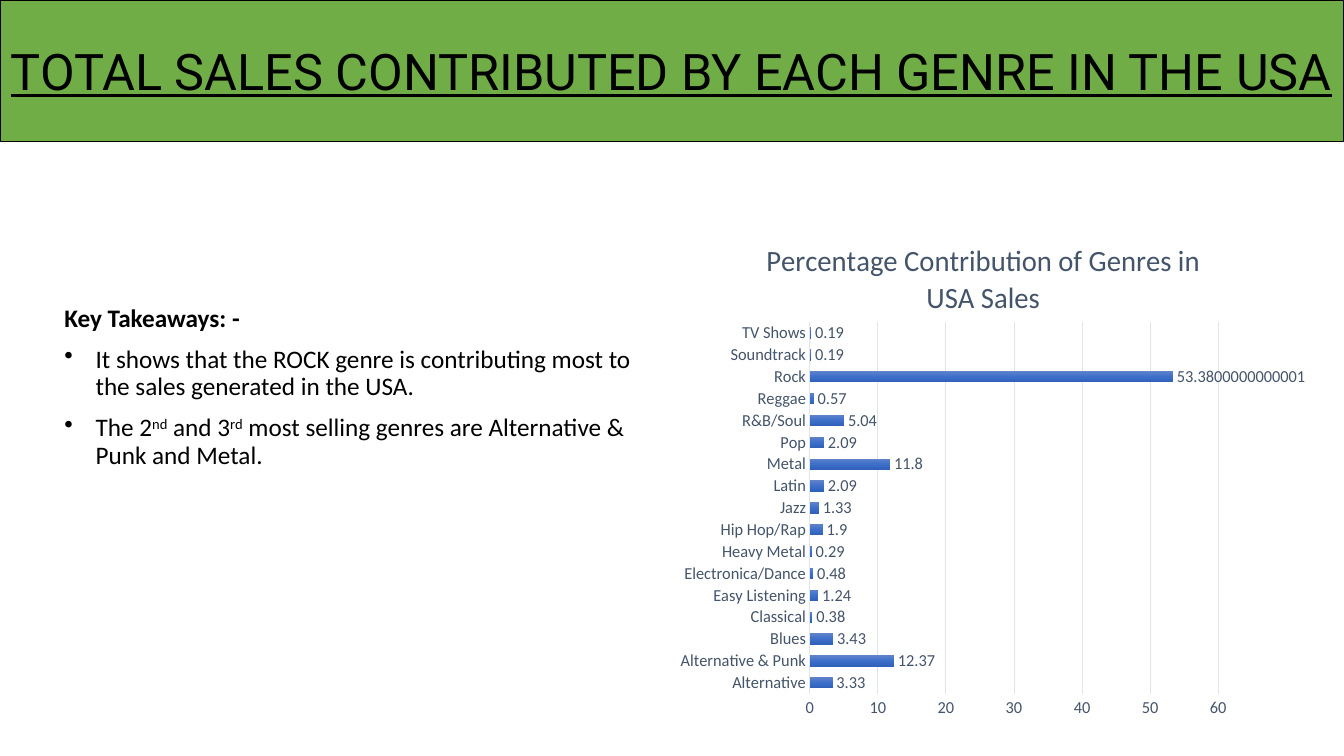
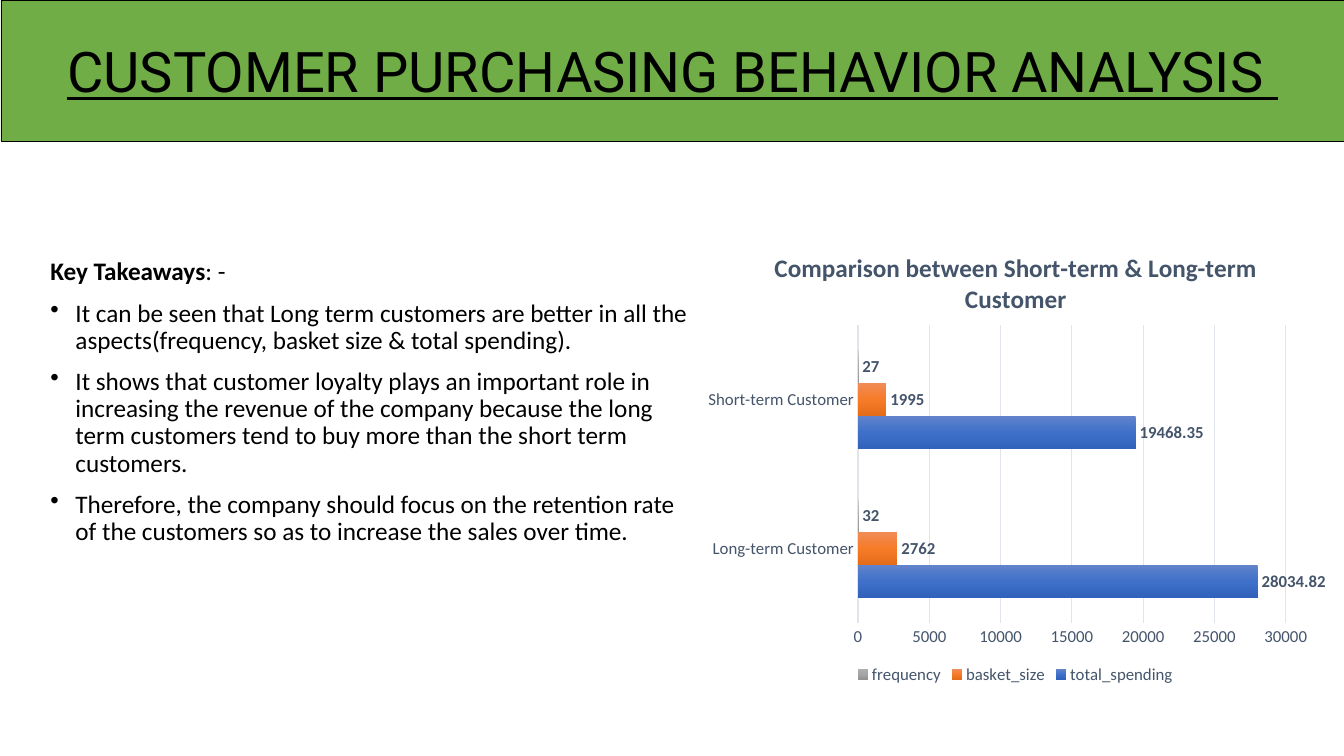
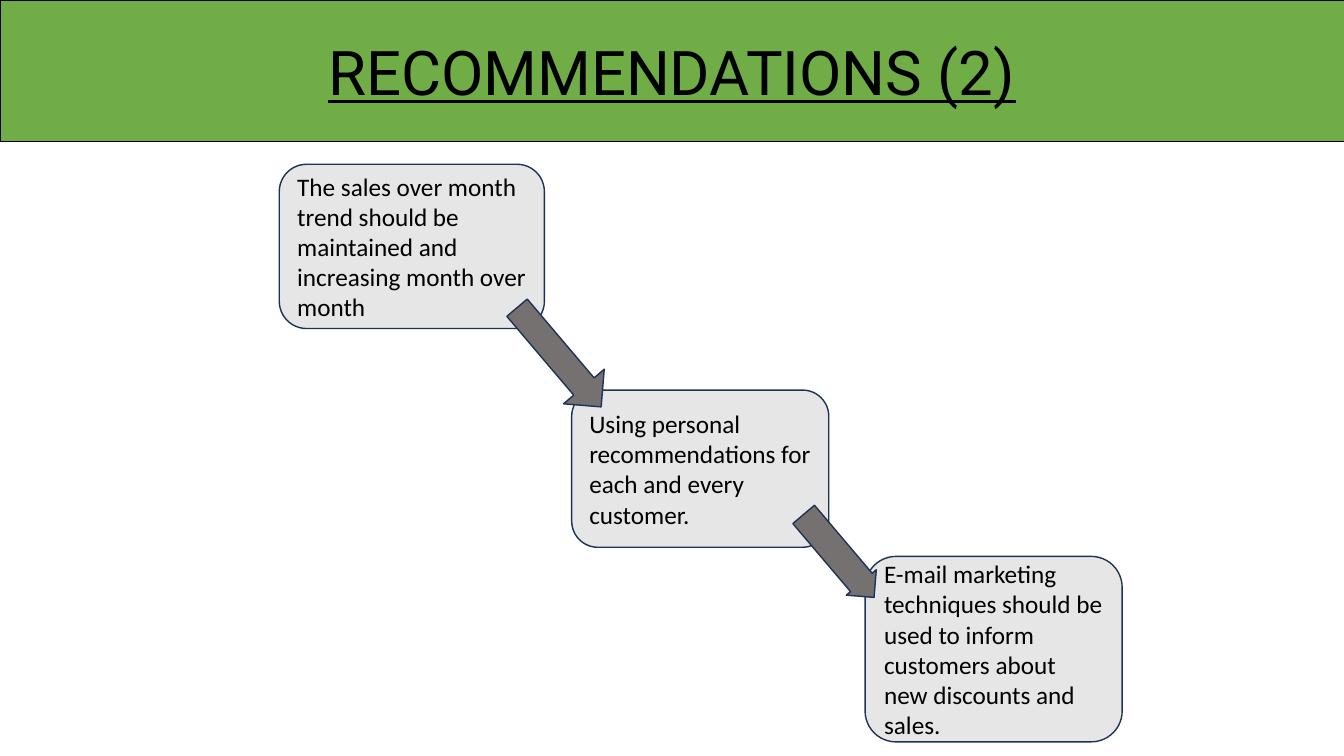
"""Build three slides on sales by genre, customer behavior and recommendations."""
import copy

import lxml.etree
import pptx
import pptx.chart.data
import pptx.dml.color
import pptx.enum.chart
import pptx.enum.shapes
import pptx.enum.text
import pptx.oxml.ns
import pptx.util

PX = 9144
WIDE, HIGH, BAND = 1333, 750, 140
BODY, HEAD = "Calibri", "Roboto"
HUES = {
    "band": "70AD47", "ink": "000000", "slate": "44546A", "grid": "E0E5EB",
    "card": "E7E6E6", "edge": "1E3256", "arrow": "767171",
}
BLUE = ("6183CB", "3E70CA", "3062BB")
ORANGE = ("F18C57", "F67B28", "E56C19")
GRAY = ("AFAFAF", "A5A5A5", "939393")
FORMS = pptx.enum.shapes.MSO_SHAPE
ALIGN = pptx.enum.text.PP_ALIGN
qn = pptx.oxml.ns.qn


def rgb(code):
    return pptx.dml.color.RGBColor.from_string(code)


class Deck:
    def __init__(self):
        self.file = pptx.Presentation()
        self.file.slide_width = WIDE * PX
        self.file.slide_height = HIGH * PX
        self.slide = None

    def page(self, title, size, left=0, width=WIDE):
        self.slide = self.file.slides.add_slide(self.file.slide_layouts[6])
        band = self.shape(FORMS.RECTANGLE, (left, 0, width, BAND), "band", "ink", 0.5)
        line = self.letter(band, title, size, HEAD, ALIGN.CENTER)
        line.font.underline = True

    def font(self, font, size, hue="ink", bold=False, name=BODY):
        font.name = name
        font.size = pptx.util.Pt(size)
        font.bold = bold
        font.color.rgb = rgb(HUES[hue])

    def shape(self, form, box, fill, edge, weight=1):
        shape = self.slide.shapes.add_shape(form, *[n * PX for n in box])
        shape.shadow.inherit = False
        shape.fill.solid()
        shape.fill.fore_color.rgb = rgb(HUES[fill])
        shape.line.color.rgb = rgb(HUES[edge])
        shape.line.width = pptx.util.Pt(weight)
        return shape

    def letter(self, shape, text, size, name=BODY, align=ALIGN.LEFT):
        frame = shape.text_frame
        frame.word_wrap = True
        frame.vertical_anchor = pptx.enum.text.MSO_ANCHOR.MIDDLE
        line = frame.paragraphs[0]
        line.text = text
        line.alignment = align
        self.font(line.font, size, name=name)
        return line

    def card(self, text, box):
        self.letter(self.shape(FORMS.ROUNDED_RECTANGLE, box, "card", "edge"), text, 18)

    def arrow(self, box, shaft=0.5):
        arrow = self.shape(FORMS.RIGHT_ARROW, box, "arrow", "edge")
        arrow.rotation = 49.7
        arrow.adjustments[0] = shaft

    def notes(self, box, head, points, indent):
        frame = self.slide.shapes.add_textbox(*[n * PX for n in box]).text_frame
        frame.word_wrap = True
        for spot, parts in enumerate([head, *points]):
            line = frame.add_paragraph() if spot else frame.paragraphs[0]
            line.line_spacing = 0.9
            if spot:
                line.space_before = pptx.util.Pt(10)
                self.bullet(line, indent)
            self.font(line.font, 18)
            for text, style in parts:
                run = line.add_run()
                run.text = text
                if style == "bold":
                    run.font.bold = True
                elif style == "super":
                    run._r.get_or_add_rPr().set("baseline", "30000")

    def bullet(self, line, indent):
        props = line._p.get_or_add_pPr()
        props.set("marL", str(indent * PX))
        props.set("indent", str(-indent * PX))
        lxml.etree.SubElement(props, qn("a:buChar")).set("char", "•")

    def place(self, node, index, **spots):
        for old in node.findall(qn("c:layout")):
            node.remove(old)
        layout = lxml.etree.Element(qn("c:layout"))
        manual = lxml.etree.SubElement(layout, qn("c:manualLayout"))
        if "w" in spots:
            lxml.etree.SubElement(manual, qn("c:layoutTarget")).set("val", "inner")
        for key in ("x", "y"):
            lxml.etree.SubElement(manual, qn(f"c:{key}Mode")).set("val", "edge")
        for key, share in spots.items():
            lxml.etree.SubElement(manual, qn(f"c:{key}")).set("val", str(share))
        node.insert(index, layout)

    def shade(self, bar, tones):
        fill = bar.format.fill
        fill.gradient()
        fill.gradient_angle = 270
        stops = bar._element.find(".//" + qn("a:gsLst"))
        stops.append(copy.deepcopy(stops[0]))
        for spot, (stop, tone) in enumerate(zip(fill.gradient_stops, tones)):
            stop.position = spot / 2
            stop.color.rgb = rgb(tone)

    def axis(self, axis):
        axis.major_tick_mark = pptx.enum.chart.XL_TICK_MARK.NONE
        axis.minor_tick_mark = pptx.enum.chart.XL_TICK_MARK.NONE
        self.font(axis.tick_labels.font, 12, "slate")

    def rule(self, line):
        line.color.rgb = rgb(HUES["grid"])
        line.width = pptx.util.Pt(0.75)

    def bars(self, box, title, size, bold, cats, rows, gap, step, top, spot, area):
        data = pptx.chart.data.CategoryChartData()
        data.categories = cats
        for name, vals, tones in rows:
            data.add_series(name, vals)
        kind = pptx.enum.chart.XL_CHART_TYPE.BAR_CLUSTERED
        chart = self.slide.shapes.add_chart(kind, *[n * PX for n in box], data).chart
        self.font(chart.font, 10)

        head = chart.chart_title.text_frame.paragraphs[0]
        head.text = title
        self.font(head.font, size, "slate", bold)
        self.place(chart.chart_title._element, 1, **spot)
        self.place(chart._chartSpace.chart.plotArea, 0, **area)

        self.axis(chart.category_axis)
        self.rule(chart.category_axis.format.line)
        scale = chart.value_axis
        self.axis(scale)
        scale.format.line.fill.background()
        scale.has_major_gridlines = True
        self.rule(scale.major_gridlines.format.line)
        scale.minimum_scale, scale.maximum_scale, scale.major_unit = 0, top, step

        plot = chart.plots[0]
        plot.gap_width = gap
        plot.vary_by_categories = False
        for bar, (name, vals, tones) in zip(plot.series, rows):
            self.shade(bar, tones)
            labels = bar.data_labels
            labels.show_value = True
            labels.position = pptx.enum.chart.XL_LABEL_POSITION.OUTSIDE_END
            self.font(labels.font, 12, "slate", bold)

        chart.has_legend = len(rows) > 1
        if chart.has_legend:
            chart.legend.position = pptx.enum.chart.XL_LEGEND_POSITION.BOTTOM
            chart.legend.include_in_layout = False
            self.font(chart.legend.font, 12, "slate")


def genres(deck):
    deck.page("TOTAL SALES CONTRIBUTED BY EACH GENRE IN THE USA", 36, width=1332)
    deck.notes(
        (54, 298, 604, 351),
        [("Key Takeaways: -", "bold")],
        [
            [("It shows that the ROCK genre is contributing most to the sales "
              "generated in the USA.", "")],
            [("The 2", ""), ("nd", "super"), (" and 3", ""), ("rd", "super"),
             (" most selling genres are Alternative & Punk and Metal.", "")],
        ],
        31,
    )
    sales = {
        "Alternative": 3.33, "Alternative & Punk": 12.37, "Blues": 3.43,
        "Classical": 0.38, "Easy Listening": 1.24, "Electronica/Dance": 0.48,
        "Heavy Metal": 0.29, "Hip Hop/Rap": 1.9, "Jazz": 1.33, "Latin": 2.09,
        "Metal": 11.8, "Pop": 2.09, "R&B/Soul": 5.04, "Reggae": 0.57,
        "Rock": 53.3800000000001, "Soundtrack": 0.19, "TV Shows": 0.19,
    }
    deck.bars(
        (675, 212, 620, 512), "Percentage Contribution of Genres in USA Sales",
        21, False, list(sales), [("Series 1", list(sales.values()), BLUE)],
        100, 10, 60, {"x": 0.13, "y": 0.04},
        {"x": 0.21, "y": 0.21, "w": 0.67, "h": 0.72},
    )


def buyers(deck):
    deck.page("CUSTOMER PURCHASING BEHAVIOR ANALYSIS ", 40, left=1, width=1332)
    points = [
        "It can be seen that Long term customers are better in all the "
        "aspects(frequency, basket size & total spending).",
        "It shows that customer loyalty plays an important role in increasing the "
        "revenue of the company because the long term customers tend to buy more "
        "than the short term customers.",
        "Therefore, the company should focus on the retention rate of the customers "
        "so as to increase the sales over time.",
    ]
    deck.notes(
        (40, 252, 655, 498), [("Key Takeaways", "bold"), (": -", "")],
        [[(point, "")] for point in points], 25,
    )
    deck.bars(
        (695, 221, 624, 462), "Comparison between Short-term & Long-term Customer",
        18, True, ["Long-term Customer", "Short-term Customer"],
        [
            ("total_spending", (28034.82, 19468.35), BLUE),
            ("basket_size", (2762, 1995), ORANGE),
            ("frequency", (32, 27), GRAY),
        ],
        150, 5000, 30000, {"x": 0.11, "y": 0.05},
        {"x": 0.25, "y": 0.22, "w": 0.68, "h": 0.64},
    )


def advice(deck):
    deck.page("RECOMMENDATIONS (2)", 44)
    deck.card("The sales over month trend should be maintained and increasing "
              "month over month", (277, 163, 263, 163))
    deck.card("Using personal recommendations for each and every customer.",
              (567, 387, 255, 156))
    deck.card("E-mail marketing techniques should be used to inform customers about "
              "new discounts and sales.", (858, 552, 255, 184))
    deck.arrow((490, 328, 129, 53))
    deck.arrow((778, 532, 108, 39), 0.72)


def main():
    deck = Deck()
    for build in (genres, buyers, advice):
        build(deck)
    deck.file.save("out.pptx")


if __name__ == "__main__":
    main()
